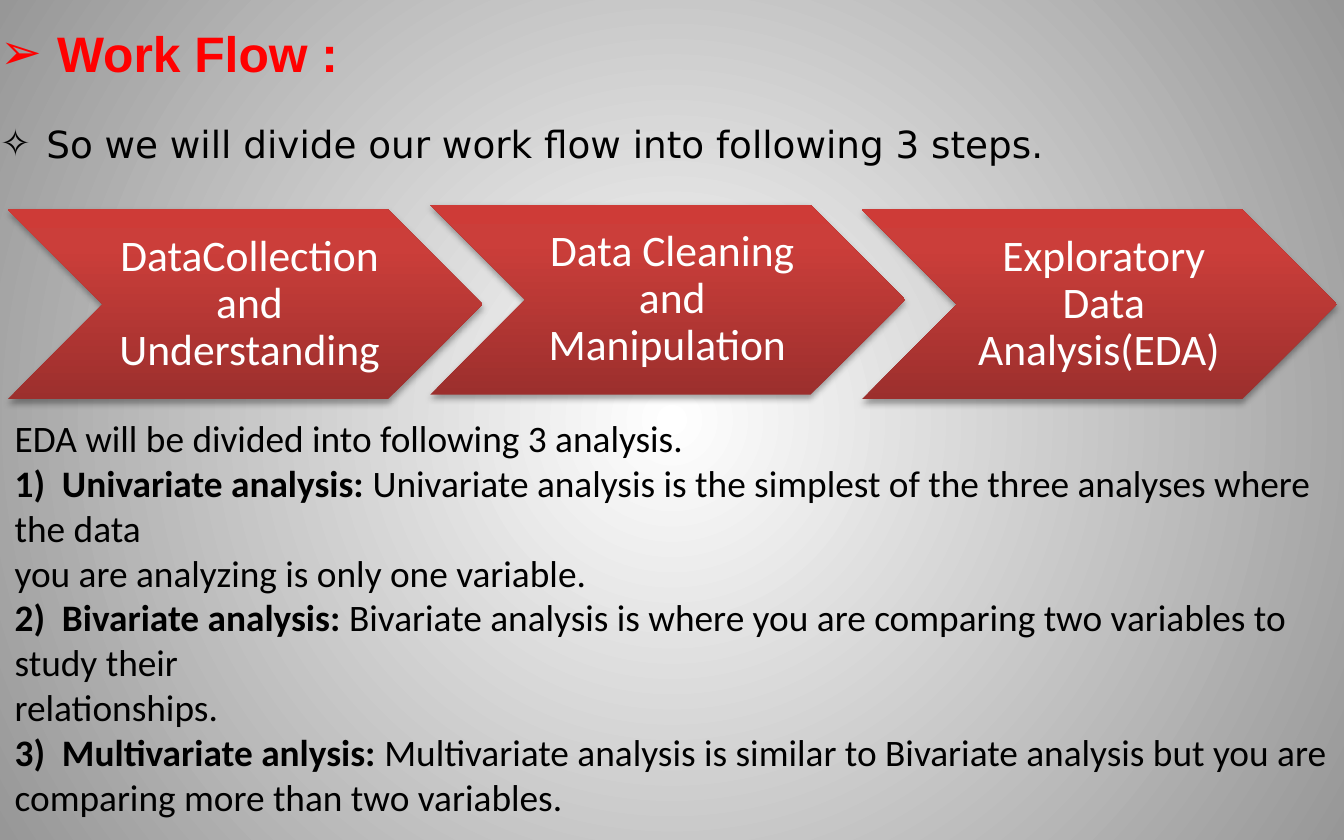
from dataclasses import dataclass

from lxml import etree
from pptx import Presentation
from pptx.dml.color import RGBColor
from pptx.enum.shapes import MSO_SHAPE
from pptx.enum.text import MSO_ANCHOR, PP_ALIGN
from pptx.oxml.ns import qn
from pptx.util import Cm, Pt

CHEVRON = MSO_SHAPE.CHEVRON
TOP, MIDDLE = MSO_ANCHOR.TOP, MSO_ANCHOR.MIDDLE
LEFT, CENTER = PP_ALIGN.LEFT, PP_ALIGN.CENTER

COLORS = {
    "title": "FF0000", "text": "000000", "step_text": "FFFFFF", "shadow": "000000",
    "bg_center": "FFFFFF", "bg_edge": "979797",
    "step_dark": "9C2F2D", "step_mid": "CB3E3A", "step_light": "CE3B37",
}


@dataclass
class Step:
    text: str
    left: float
    top: float


STEPS = [
    Step("DataCollection and Understanding ", 0.13, 3.56),
    Step("Data Cleaning and Manipulation ", 7.32, 3.48),
    Step("Exploratory Data Analysis(EDA) ", 14.66, 3.56),
]

# Each paragraph: bold lead, plain text
ANALYSES = [
    ("", "EDA will be divided into following 3 analysis."),
    ("1)  Univariate analysis: ",
     "Univariate analysis is the simplest of the three analyses where the data"),
    ("", "you are analyzing is only one variable."),
    ("2)  Bivariate analysis: ",
     "Bivariate analysis is where you are comparing two variables to study their"),
    ("", "relationships."),
    ("3)  Multivariate anlysis: ",
     "Multivariate analysis is similar to Bivariate analysis but you are"),
    ("", "comparing more than two variables."),
]


def add_node(parent, tag: str, **attrs):
    return etree.SubElement(parent, qn(tag), {k: str(v) for k, v in attrs.items()})


def set_stops(grad, stops: list[tuple[int, str]]) -> None:
    """Empty a gradient fill and give it new colour stops."""
    for child in list(grad):
        grad.remove(child)
    stop_list = add_node(grad, "a:gsLst")
    for percent, color in stops:
        stop = add_node(stop_list, "a:gs", pos=percent * 1000)
        add_node(stop, "a:srgbClr", val=COLORS[color])


def add_run(p, text: str, size: float, font: str, color: str, bold: bool = False) -> None:
    r = p.add_run()
    r.text = text
    r.font.size, r.font.name, r.font.bold = Pt(size), font, bold
    r.font.color.rgb = RGBColor.from_string(COLORS[color])


def set_bullet(p, char: str, indent: float) -> None:
    p_pr = p._p.get_or_add_pPr()
    p_pr.set("marL", str(Cm(indent)))
    p_pr.set("indent", str(-Cm(indent)))
    add_node(p_pr, "a:buFont", typeface="Arial")
    add_node(p_pr, "a:buChar", char=char)


def set_frame(tf, left: float, top: float, right: float, bottom: float, anchor) -> None:
    tf.word_wrap = True
    tf.vertical_anchor = anchor
    tf.margin_left, tf.margin_top = Cm(left), Cm(top)
    tf.margin_right, tf.margin_bottom = Cm(right), Cm(bottom)


def add_step(s, step: Step) -> None:
    sp = s.shapes.add_shape(CHEVRON, Cm(step.left), Cm(step.top), Cm(8.08), Cm(3.23))
    sp.line.fill.background()
    sp.fill.gradient()
    grad = sp._element.spPr.find(qn("a:gradFill"))
    set_stops(grad, [(0, "step_dark"), (80, "step_mid"), (100, "step_light")])
    add_node(grad, "a:lin", ang=270 * 60000, scaled=0)
    # Soft shadow below the chevron
    sp.shadow.inherit = False
    effects = sp._element.spPr.find(qn("a:effectLst"))
    shadow = add_node(effects, "a:outerShdw", blurRad=Pt(3.1), dist=Pt(1.8),
                      dir=90 * 60000, rotWithShape=0)
    color = add_node(shadow, "a:srgbClr", val=COLORS["shadow"])
    add_node(color, "a:alpha", val=35000)
    # Label
    set_frame(sp.text_frame, 0.22, 0.07, 0.07, 0.07, MIDDLE)
    p = sp.text_frame.paragraphs[0]
    p.alignment, p.line_spacing = CENTER, 0.9
    add_run(p, step.text, 21, "Calibri", "step_text")


def main() -> None:
    prs = Presentation()
    prs.slide_width, prs.slide_height = Cm(22.86), Cm(14.28)
    s = prs.slides.add_slide(prs.slide_layouts[5])

    # Background
    s.background.fill.gradient()
    grad = s._element.find(".//" + qn("a:gradFill"))
    set_stops(grad, [(0, "bg_center"), (100, "bg_edge")])
    circle = add_node(grad, "a:path", path="circle")
    add_node(circle, "a:fillToRect", l=50000, t=50000, r=50000, b=50000)

    # Title
    title = s.shapes.title
    title.left, title.top, title.width, title.height = Cm(0), Cm(0.38), Cm(21.59), Cm(1.5)
    set_frame(title.text_frame, 0, 0, 0, 0, TOP)
    p = title.text_frame.paragraphs[0]
    p.alignment = LEFT
    set_bullet(p, "➢", 0.97)
    add_run(p, "Work Flow :", 24, "Arial", "title", bold=True)

    # Introduction
    intro = s.shapes.add_textbox(Cm(0), Cm(2.06), Cm(22.86), Cm(1.2))
    set_frame(intro.text_frame, 0, 0, 0, 0, TOP)
    p = intro.text_frame.paragraphs[0]
    set_bullet(p, "✧", 0.79)
    add_run(p, "So we will divide our work flow into following 3 steps.",
            18, "DejaVu Sans", "text")

    # Work flow steps
    for step in STEPS:
        add_step(s, step)

    # Kinds of analysis
    tf = s.shapes.add_textbox(Cm(0), Cm(6.93), Cm(23.06), Cm(7.2)).text_frame
    set_frame(tf, 0.25, 0.13, 0.25, 0.13, TOP)
    for i, (lead, text) in enumerate(ANALYSES):
        p = tf.add_paragraph() if i else tf.paragraphs[0]
        if lead:
            add_run(p, lead, 18, "Calibri", "text", bold=True)
        add_run(p, text, 18, "Calibri", "text")

    prs.save("out.pptx")


if __name__ == "__main__":
    main()
